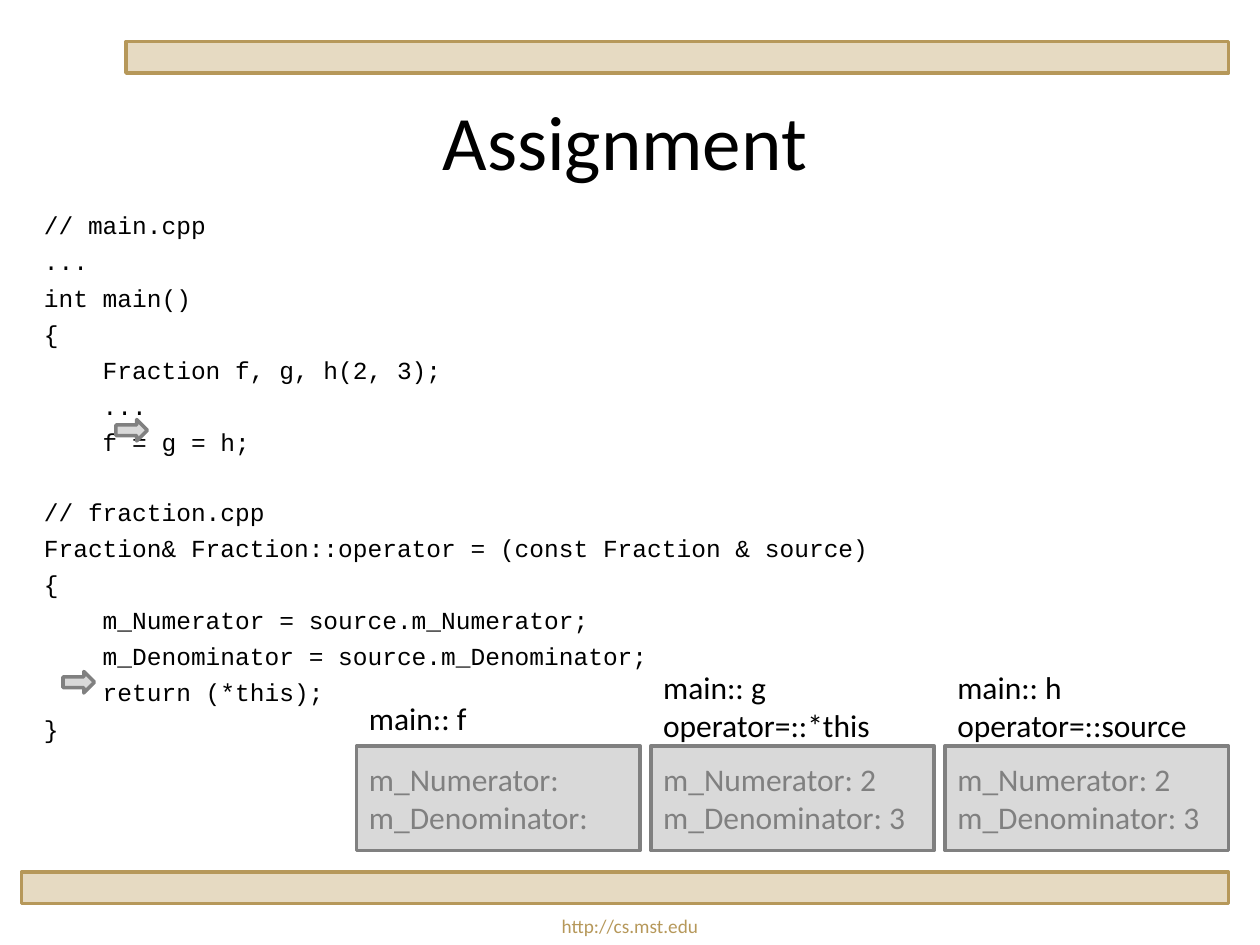
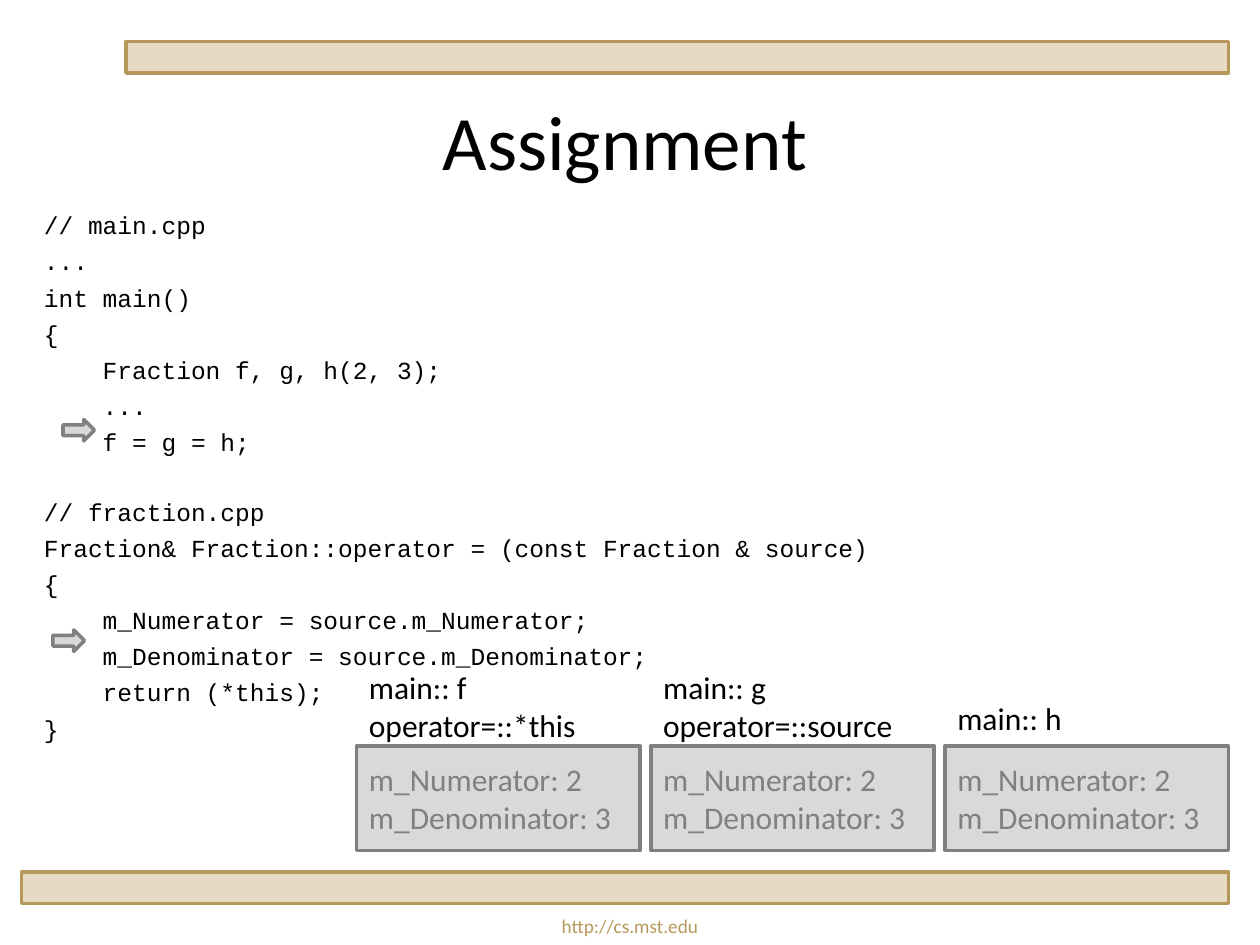
"""Build two slides that trace a chained assignment of Fraction objects."""
from pptx import Presentation
from pptx.dml.color import RGBColor
from pptx.enum.shapes import MSO_SHAPE as Shape
from pptx.enum.text import MSO_ANCHOR as Anchor, PP_ALIGN as Align
from pptx.util import Inches, Pt

SAND = RGBColor(0xE6, 0xDA, 0xC2)
GOLD = RGBColor(0xB6, 0x98, 0x5A)
SILVER = RGBColor(0xD9, 0xD9, 0xD9)
GRAY = RGBColor(0x80, 0x80, 0x80)
BLACK = RGBColor(0, 0, 0)

TITLE = "Assignment"
FOOTER = "http://cs.mst.edu"
MAIN_CODE = [
    "// main.cpp",
    "...",
    "int main()",
    "{",
    "    Fraction f, g, h(2, 3);",
    "    ...",
    "    f = g = h;",
]
FRACTION_CODE = [
    "// fraction.cpp",
    "Fraction& Fraction::operator = (const Fraction & source)",
    "{",
    "    m_Numerator = source.m_Numerator;",
    "    m_Denominator = source.m_Denominator;",
    "    return (*this);",
    "}",
]
UNSET = ["m_Numerator:", "m_Denominator:"]
TWO_THIRDS = ["m_Numerator: 2", "m_Denominator: 3"]

STEPS = [
    {
        "objects": [
            (["main:: f"], 0.99, UNSET),
            (["main:: g", "operator=::*this"], 1.86, TWO_THIRDS),
            (["main:: h", "operator=::source"], 2.04, TWO_THIRDS),
        ],
        "pointers": [(0.92, 3.33), (0.5, 5.33)],
    },
    {
        "objects": [
            (["main:: f", "operator=::*this"], 1.86, TWO_THIRDS),
            (["main:: g", "operator=::source"], 2.04, TWO_THIRDS),
            (["main:: h"], 1.04, TWO_THIRDS),
        ],
        "pointers": [(0.5, 3.33), (0.42, 5)],
    },
]

BANDS = [(1, 0.33, 8.75, 0.25), (0.17, 6.92, 9.58, 0.25)]
OBJECT_LEFT, OBJECT_TOP, OBJECT_STEP = 2.83, 5.92, 2.335
LABEL_PLACES = {1: (5.5, 0.4), 2: (5.25, 0.71)}
LINE_GAP, BLOCK_GAP = 3.8, 23.4


def write(frame, lines, size=18, font="Calibri", color=BLACK, align=Align.LEFT,
          anchor=Anchor.TOP, wrap=True, gap=0):
    frame.word_wrap = wrap
    frame.vertical_anchor = anchor
    for index, line in enumerate(lines):
        paragraph = frame.add_paragraph() if index else frame.paragraphs[0]
        paragraph.text = line
        paragraph.alignment = align
        paragraph.space_before = Pt(gap if index else 0)
        paragraph.font.size = Pt(size)
        paragraph.font.name = font
        paragraph.font.color.rgb = color
    return frame


def add_text(slide, place, lines, **style):
    box = slide.shapes.add_textbox(*map(Inches, place))
    return write(box.text_frame, lines, **style)


def add_outlined(slide, kind, place, fill, line):
    shape = slide.shapes.add_shape(kind, *map(Inches, place))
    shape.shadow.inherit = False
    shape.fill.solid()
    shape.fill.fore_color.rgb = fill
    shape.line.color.rgb = line
    shape.line.width = Pt(2)
    return shape


def add_frame(slide):
    for place in BANDS:
        add_outlined(slide, Shape.RECTANGLE, place, SAND, GOLD)
    add_text(slide, (0, 7.21, 10, 0.29), [FOOTER], size=11, color=GOLD, align=Align.CENTER)
    add_text(slide, (0.17, 0.67, 9.58, 0.88), [TITLE], size=44,
             align=Align.CENTER, anchor=Anchor.MIDDLE)


def add_code(slide):
    code = add_text(slide, (0.25, 1.58, 9.42, 3), MAIN_CODE + FRACTION_CODE,
                    size=14, font="Courier New", gap=LINE_GAP)
    code.margin_top = Inches(0.09)
    code.paragraphs[len(MAIN_CODE)].space_before = Pt(BLOCK_GAP)


def add_objects(slide, objects):
    lefts = [OBJECT_LEFT + column * OBJECT_STEP for column in range(len(objects))]
    for left, (_, _, members) in zip(lefts, objects):
        memory = add_outlined(slide, Shape.RECTANGLE, (left, OBJECT_TOP, 2.25, 0.83), SILVER, GRAY)
        write(memory.text_frame, members, color=GRAY, anchor=Anchor.MIDDLE)
    for left, (names, width, _) in zip(lefts, objects):
        top, height = LABEL_PLACES[len(names)]
        add_text(slide, (left, top, width, height), names, wrap=False)


def main():
    deck = Presentation()
    deck.slide_width, deck.slide_height = Inches(10), Inches(7.5)
    for step in STEPS:
        slide = deck.slides.add_slide(deck.slide_layouts[6])
        add_frame(slide)
        add_code(slide)
        add_objects(slide, step["objects"])
        for left, top in step["pointers"]:
            add_outlined(slide, Shape.RIGHT_ARROW, (left, top, 0.25, 0.17), SILVER, GRAY)
    deck.save("out.pptx")


if __name__ == "__main__":
    main()
